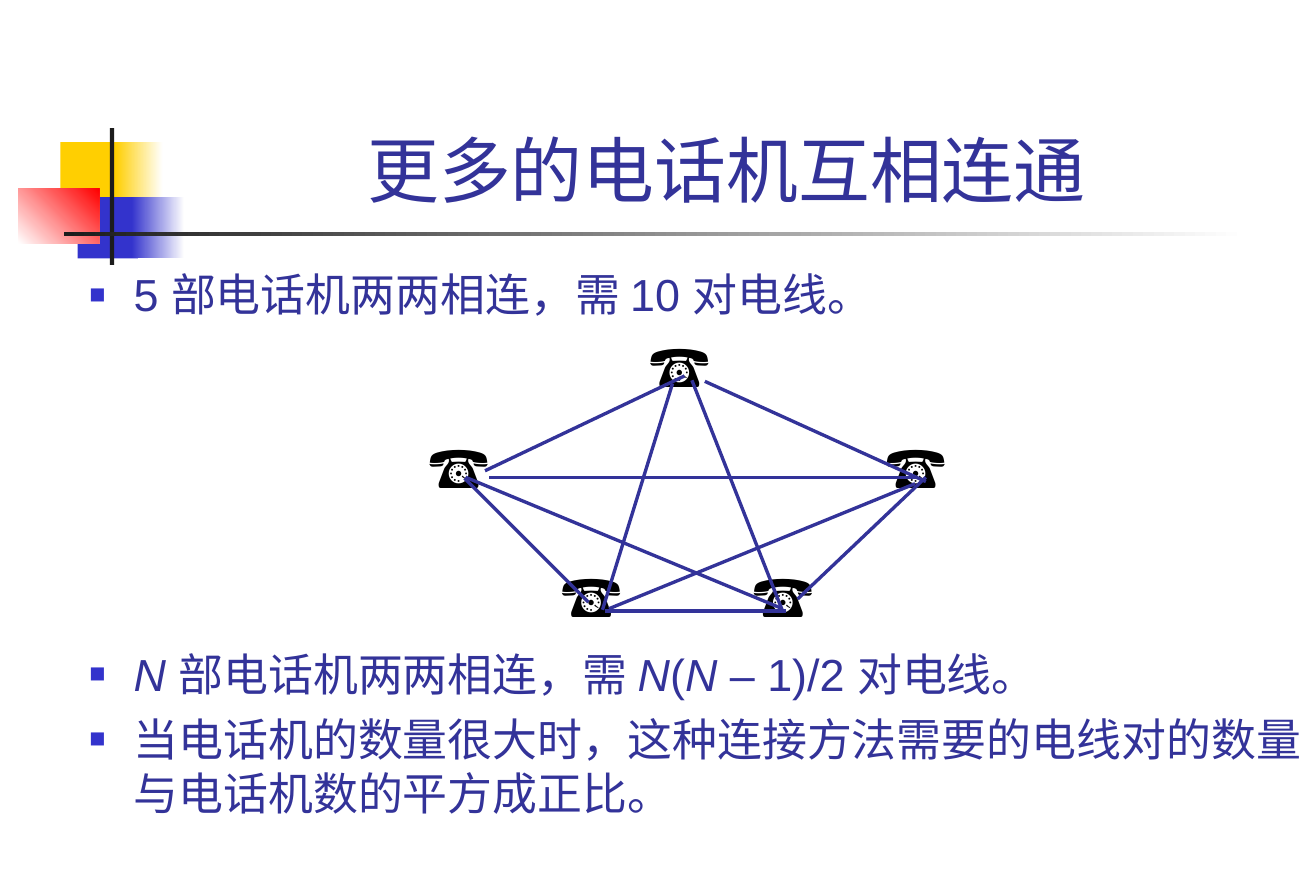
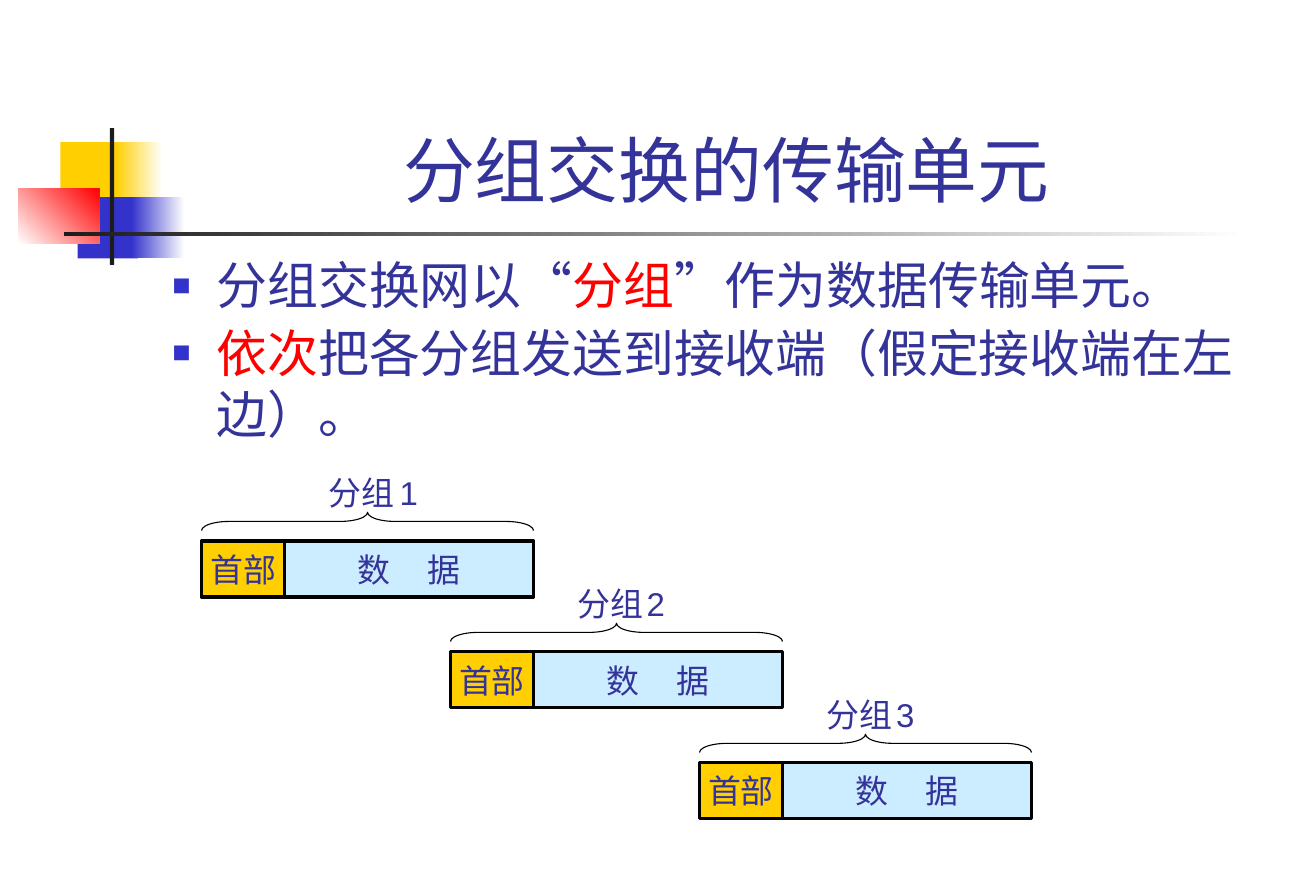
import pptx
import pptx.util
import pptx.dml.color
import pptx.enum.dml
import pptx.enum.lang
import pptx.enum.shapes
import pptx.enum.text
import pptx.oxml
import pptx.oxml.ns
from lxml import etree

Inches, Pt = pptx.util.Inches, pptx.util.Pt
SHAPE = pptx.enum.shapes.MSO_SHAPE
ANCHOR = pptx.enum.text.MSO_ANCHOR
ALIGN = pptx.enum.text.PP_ALIGN
qn = pptx.oxml.ns.qn

INK, BLUE, GOLD, RED = "333399", "3333CC", "FFCF01", "FF0000"
PALE, DARK, BLACK, WHITE = "CCECFF", "1C1C1C", "000000", "FFFFFF"
FONT, DIAGRAM_FONT = "Arial", "Cabin"


def color(value):
    return pptx.dml.color.RGBColor.from_string(value)


def run(p, text, size=22, font=FONT, fill=INK, italic=False, spacing=None):
    r = p.add_run()
    r.text = text
    r.font.size, r.font.name, r.font.italic = Pt(size), font, italic
    r.font.color.rgb = color(fill)
    r.font.language_id = pptx.enum.lang.MSO_LANGUAGE_ID.SIMPLIFIED_CHINESE
    if spacing:
        r.font._element.set("spc", str(spacing * 100))


def write(tf, runs, align=ALIGN.LEFT, anchor=ANCHOR.TOP, margin=0.1, **style):
    """Fill the first paragraph with (text, overrides) runs."""
    tf.word_wrap, tf.vertical_anchor = True, anchor
    tf.margin_left = tf.margin_right = Inches(margin)
    p = tf.paragraphs[0]
    p.alignment = align
    for text, extra in runs:
        run(p, text, **{**style, **extra})


def textbox(s, box):
    return s.shapes.add_textbox(*map(Inches, box)).text_frame


def shape(s, kind, box, fill=None, line=None, width=2.25):
    """Draw a preset shape; a pair of colours as fill makes a gradient."""
    sp = s.shapes.add_shape(kind, *map(Inches, box))
    sp.shadow.inherit = False
    if fill is None:
        sp.fill.background()
    elif isinstance(fill, tuple):
        sp.fill.gradient()
        sp.fill.gradient_angle = 0
        for stop, value in zip(sp.fill.gradient_stops, fill):
            stop.color.rgb = color(value)
    else:
        sp.fill.solid()
        sp.fill.fore_color.rgb = color(fill)
    if line:
        sp.line.color.rgb = color(line)
        sp.line.width = Pt(width)
    else:
        sp.line.fill.background()
    return sp


def connect(s, x1, y1, x2, y2):
    c = s.shapes.add_connector(pptx.enum.shapes.MSO_CONNECTOR.STRAIGHT,
                               *map(Inches, (x1, y1, x2, y2)))
    c.line.color.rgb = color(INK)
    c.line.width = Pt(2.25)
    etree.SubElement(c._element.spPr, qn("a:effectLst"))


def bullet(p, indent=0.41):
    pPr = p._p.get_or_add_pPr()
    pPr.set("marL", str(Inches(indent)))
    pPr.set("indent", str(-Inches(indent)))
    clr = etree.SubElement(pPr, qn("a:buClr"))
    etree.SubElement(clr, qn("a:srgbClr"), val=BLUE)
    etree.SubElement(pPr, qn("a:buSzPct"), val="60000")
    etree.SubElement(pPr, qn("a:buFont"), typeface=FONT)
    etree.SubElement(pPr, qn("a:buChar"), char="■")


def bullets(s, box, items, size, gap):
    tf = textbox(s, box)
    tf.word_wrap = True
    tf.margin_left = tf.margin_right = Inches(0.11)
    for i, runs in enumerate(items):
        p = tf.add_paragraph() if i else tf.paragraphs[0]
        bullet(p)
        if i:
            p.space_before = Pt(gap)
        for text, extra in runs:
            run(p, text, size=size, **extra)


def titled_slide(prs, title):
    """Add a slide with the coloured corner, the rule and the title."""
    s = prs.slides.add_slide(prs.slide_layouts[6])
    for box, fill in [((0.56, 1.32, 0.59, 0.57), GOLD),
                      ((1.07, 1.32, 0.44, 0.57), (GOLD, WHITE)),
                      ((0.72, 1.83, 0.56, 0.57), BLUE),
                      ((1.22, 1.83, 0.49, 0.57), (BLUE, WHITE))]:
        shape(s, SHAPE.RECTANGLE, box, fill)
    red = shape(s, SHAPE.RECTANGLE, (0.17, 1.75, 0.75, 0.51), (WHITE, RED))
    red.fill.gradient_angle = 45
    shape(s, SHAPE.RECTANGLE, (1.02, 1.19, 0.04, 1.27), DARK)
    shape(s, SHAPE.RECTANGLE, (0.59, 2.15, 10.98, 0.04), (DARK, WHITE))
    write(textbox(s, (1.54, 0.26, 10.4, 1.76)), [(title, {})],
          align=ALIGN.CENTER, anchor=ANCHOR.BOTTOM, margin=0.11, size=48)
    return s


def phone_mesh(s, x, y):
    """Draw five telephones and the ten wires that join them in pairs."""
    for dx, dy in [(2.05, 0), (0, 0.93), (1.23, 2.13), (4.24, 0.93), (3.01, 2.13)]:
        write(textbox(s, (x + dx, y + dy, 0.9, 0.75)), [("☎", {})],
              size=39, fill=BLACK)
    wires = [(0.62, 1.36, 2.47, 0.48), (2.66, 0.53, 4.71, 1.46),
             (0.43, 1.43, 1.58, 2.58), (1.73, 2.66, 3.41, 2.66),
             (3.52, 2.55, 4.71, 1.42), (2.54, 0.52, 3.38, 2.66),
             (2.36, 0.55, 1.71, 2.65), (0.66, 1.42, 4.64, 1.42),
             (0.44, 1.42, 3.38, 2.64), (1.77, 2.64, 4.61, 1.48)]
    for x1, y1, x2, y2 in wires:
        connect(s, x + x1, y + y1, x + x2, y + y2)


def packet(s, x, y, number, space_size):
    """Draw a header and data cell under a brace and its label."""
    head, data, height, depth = 0.77, 2.31, 0.52, 0.17
    cells = [(x + head, data, PALE, [("数 ", {"spacing": 10}), ("据", {})]),
             (x, head, GOLD, [("首部", {})])]
    for left, width, fill, runs in cells:
        sp = shape(s, SHAPE.RECTANGLE, (left, y, width, height), fill, BLACK)
        write(sp.text_frame, runs, align=ALIGN.CENTER, anchor=ANCHOR.MIDDLE,
              margin=0, font=DIAGRAM_FONT)
    span = head + data
    brace = shape(s, SHAPE.LEFT_BRACE,
                  (x + (span - depth) / 2, y - 0.18 - span / 2, depth, span),
                  line=BLACK, width=0.75)
    brace.rotation = 90
    brace.adjustments[0] = 1.5
    write(textbox(s, (x + 1.08, y - 0.68, 1.2, 0.47)),
          [("分组", {"font": DIAGRAM_FONT}), (" ", {"size": space_size}),
           (str(number), {})])


def phones_slide(prs):
    s = titled_slide(prs, "更多的电话机互相连通")
    it = {"italic": True}
    bullets(s, (0.72, 2.43, 11.49, 0.65),
            [[("5 部电话机两两相连，需 10 对电线。", {})]], size=30, gap=7.5)
    bullets(s, (0.72, 5.95, 11.49, 2.2),
            [[("N ", it), ("部电话机两两相连，需 ", {}), ("N", it), ("(", {}),
              ("N", it), (" – 1)/2 对电线。", {})],
             [("当电话机的数量很大时，这种连接方法需要的电线对的数量"
               "与电话机数的平方成正比。", {})]], size=30, gap=7.5)
    phone_mesh(s, 3.88, 3.01)


def packets_slide(prs):
    s = titled_slide(prs, "分组交换的传输单元")
    red = {"fill": RED}
    bullets(s, (1.49, 2.31, 10.37, 2),
            [[("分组交换网以“", {}), ("分组", red), ("”作为数据传输单元。", {})],
             [("依次", red), ("把各分组发送到接收端（假定接收端在左边）。", {})]],
            size=34, gap=4.2)
    for i, space_size in enumerate((16, 10, 12)):
        packet(s, 1.87 + 2.31 * i, 5.02 + 1.03 * i, i + 1, space_size)


def main():
    prs = pptx.Presentation()
    prs.slide_width, prs.slide_height = Inches(12.21), Inches(8.27)
    phones_slide(prs)
    packets_slide(prs)
    prs.save("out.pptx")


if __name__ == "__main__":
    main()
